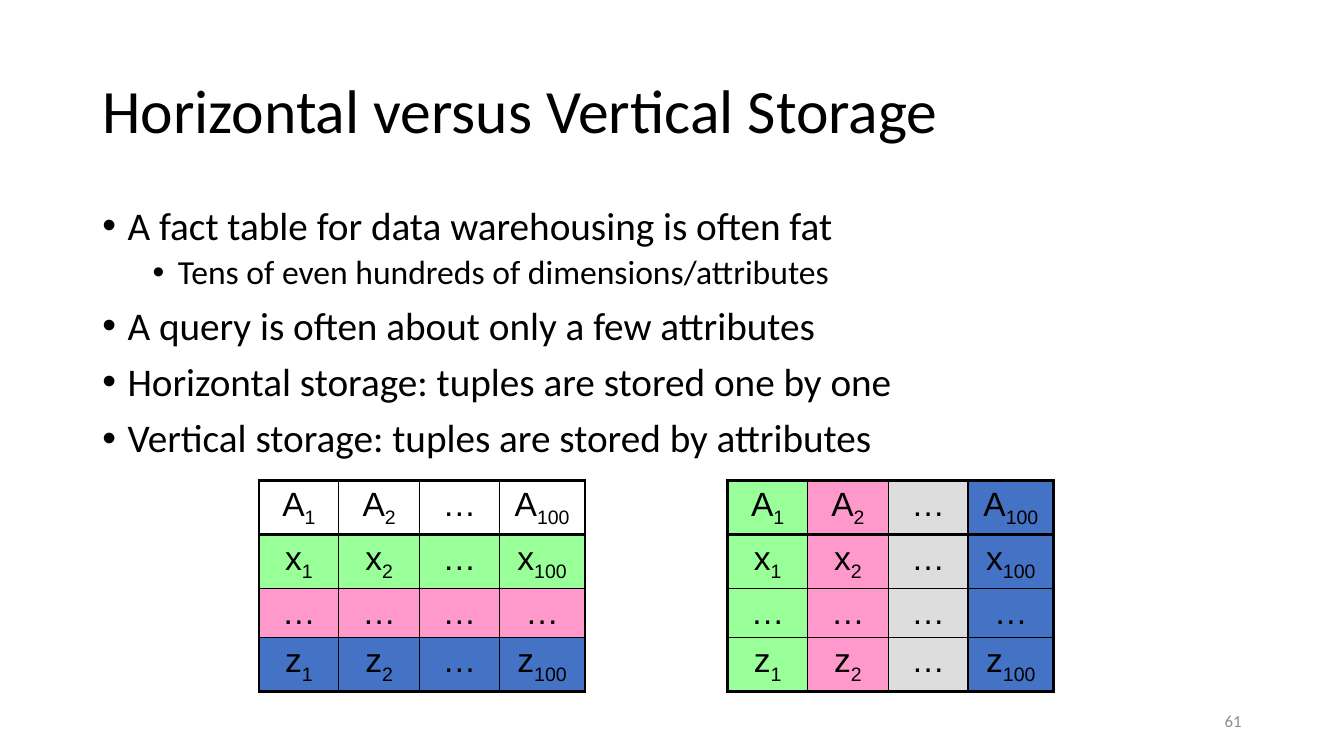
from pptx import Presentation
from pptx import util as u
from pptx.dml import color
from pptx.enum import text
from pptx.oxml import parse_xml, ns

BLACK, GREY, NUMBER_GREY = "000000", "DDDDDD", "8C8C8C"
GREEN, PINK, BLUE = "99FF99", "FF99CC", "4472C4"


def rgb(value):
    return color.RGBColor.from_string(value)


def write(paragraph, content, size=24, font="Calibri", ink=BLACK, align=text.PP_ALIGN.LEFT,
          line=1.0, before=0):
    paragraph.alignment = align
    paragraph.line_spacing = line
    paragraph.space_before = u.Pt(before)
    base, _, subscript = content.partition("_")
    for part, offset in ((base, 0), (subscript, -25000)):
        if part:
            run = paragraph.add_run()
            run.text = part
            run.font.size = u.Pt(size)
            run.font.name = font
            run.font.color.rgb = rgb(ink)
            if offset:
                run._r.get_or_add_rPr().set("baseline", str(offset))


class StorageSlide:
    """Draws elements on one slide, placed on a grid of 160 columns by 90 rows."""

    columns, rows = 160, 90
    thin, thick = 1, 2.25

    def __init__(self, presentation):
        self.column = presentation.slide_width / self.columns
        self.row = presentation.slide_height / self.rows
        self.slide = presentation.slides.add_slide(presentation.slide_layouts[6])

    def place(self, left, top, width, height):
        return (round(left * self.column), round(top * self.row),
                round(width * self.column), round(height * self.row))

    def box(self, area, anchor=text.MSO_ANCHOR.MIDDLE):
        frame = self.slide.shapes.add_textbox(*self.place(*area)).text_frame
        frame.word_wrap = True
        frame.vertical_anchor = anchor
        return frame

    def label(self, area, content, **style):
        write(self.box(area).paragraphs[0], content, **style)

    def bullets(self, area, items):
        frame = self.box(area, text.MSO_ANCHOR.TOP)
        for index, (level, content) in enumerate(items):
            paragraph = frame.paragraphs[0] if index == 0 else frame.add_paragraph()
            paragraph.level = level
            properties = paragraph._p.get_or_add_pPr()
            properties.set("marL", str(u.Inches(0.25 + 0.5 * level)))
            properties.set("indent", str(u.Inches(-0.25)))
            for bullet in ('<a:buFont %s typeface="Arial"/>', '<a:buChar %s char="•"/>'):
                properties.append(parse_xml(bullet % ns.nsdecls("a")))
            before = (10, 5)[level] if index else 0
            write(paragraph, content, size=28 - 4 * level, line=0.9, before=before)

    def border(self, cell, side, width):
        cell._tc.get_or_add_tcPr().append(parse_xml(
            f'<a:ln{side} {ns.nsdecls("a")} w="{u.Pt(width)}"><a:solidFill>'
            f'<a:srgbClr val="{BLACK}"/></a:solidFill></a:ln{side}>'))

    def table(self, left, top, widths, heights, values, fill_at):
        area = self.place(left, top, sum(widths), sum(heights))
        table = self.slide.shapes.add_table(len(heights), len(widths), *area).table
        table.first_row = table.horz_banding = False
        for column, width in zip(table.columns, widths):
            column.width = round(width * self.column)
        for row, height in zip(table.rows, heights):
            row.height = round(height * self.row)
        last_row, last_column = len(heights) - 1, len(widths) - 1
        for r, line in enumerate(values):
            for c, value in enumerate(line):
                cell = table.cell(r, c)
                cell.margin_bottom = u.Inches(0.03)
                write(cell.text_frame.paragraphs[0], value, font="Arial",
                      align=text.PP_ALIGN.CENTER)
                heavy = {"L": c == 0, "R": c == last_column,
                         "T": r <= 1, "B": r in (0, last_row)}
                for side, is_heavy in heavy.items():
                    self.border(cell, side, self.thick if is_heavy else self.thin)
                fill = fill_at(r, c)
                if fill:
                    cell.fill.solid()
                    cell.fill.fore_color.rgb = rgb(fill)
                else:
                    cell.fill.background()


def main():
    presentation = Presentation()
    presentation.slide_width = u.Inches(13.33)
    presentation.slide_height = u.Inches(7.5)
    slide = StorageSlide(presentation)

    slide.label((11, 4.8, 138, 17.4), "Horizontal versus Vertical Storage", size=44, line=0.9)
    slide.bullets((11, 24, 138, 57.1), [
        (0, "A fact table for data warehousing is often fat"),
        (1, "Tens of even hundreds of dimensions/attributes"),
        (0, "A query is often about only a few attributes"),
        (0, "Horizontal storage: tuples are stored one by one"),
        (0, "Vertical storage: tuples are stored by attributes"),
    ])

    values = [[f"{name}_1", f"{name}_2", "…", f"{name}_100"] for name in "Axz"]
    values.insert(2, ["…"] * 4)
    widths, heights = (9.5, 9.6, 9.5, 10.2), (6.3, 6.3, 5.6, 6.3)
    row_fills = (None, GREEN, PINK, BLUE)
    column_fills = (GREEN, PINK, GREY, BLUE)
    slide.table(30.84, 57.24, widths, heights, values, lambda r, c: row_fills[r])
    slide.table(86.64, 57.24, widths, heights, values, lambda r, c: column_fills[c])

    slide.label((113, 83.4, 36, 4.8), "61", size=12, ink=NUMBER_GREY,
                align=text.PP_ALIGN.RIGHT)
    presentation.save("out.pptx")


if __name__ == "__main__":
    main()
